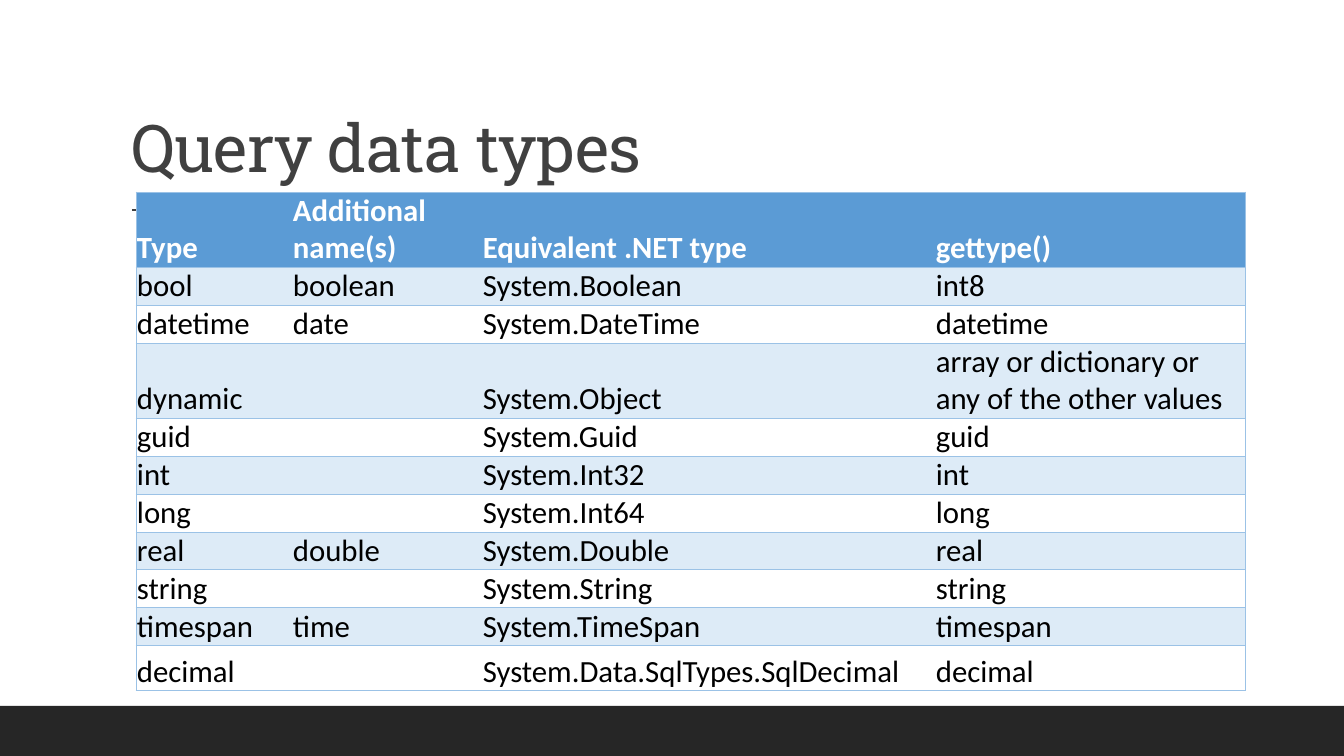
from lxml.etree import SubElement
from pptx import Presentation
from pptx.dml.color import RGBColor
from pptx.enum.shapes import MSO_CONNECTOR, MSO_SHAPE
from pptx.enum.text import MSO_ANCHOR, MSO_AUTO_SIZE, PP_ALIGN
from pptx.oxml import parse_xml
from pptx.oxml.ns import nsdecls, qn
from pptx.util import Pt

EMU_PER_PX = 914400 / 100.8
COLORS = {
    "ink": "404040", "footer": "262626", "header": "5B9BD5", "band": "DDEBF7",
    "border": "9BC2E6", "white": "FFFFFF", "black": "000000",
}
COLUMN_WIDTHS = [156, 190, 453, 310]
LINE_HEIGHT = 38
TWO_LINE_HEIGHT = 75
LAST_ROW_HEIGHT = 45
TWO_LINE_ROWS = ("Type", "dynamic")
DATA_TYPES = [
    ("Type", "Additional name(s)", "Equivalent .NET type", "gettype()"),
    ("bool", "boolean", "System.Boolean", "int8"),
    ("datetime", "date", "System.DateTime", "datetime"),
    ("dynamic", "", "System.Object", "array or dictionary or any of the other values"),
    ("guid", "", "System.Guid", "guid"),
    ("int", "", "System.Int32", "int"),
    ("long", "", "System.Int64", "long"),
    ("real", "double", "System.Double", "real"),
    ("string", "", "System.String", "string"),
    ("timespan", "time", "System.TimeSpan", "timespan"),
    ("decimal", "", "System.Data.SqlTypes.SqlDecimal", "decimal"),
]


def px(length):
    return round(length * EMU_PER_PX)


def rgb(name):
    return RGBColor.from_string(COLORS[name])


def apply(target, values):
    for name, value in values.items():
        setattr(target, name, value)


class SlideBuilder:
    title_font = {"name": "Roboto Slab", "size": Pt(47), "bold": False}
    cell_font = {"name": "Calibri", "size": Pt(22)}
    cell_format = {
        "margin_left": px(1), "margin_right": px(1), "margin_top": 0,
        "margin_bottom": 0, "vertical_anchor": MSO_ANCHOR.BOTTOM,
    }

    def __init__(self, slide):
        self.slide = slide

    def bar(self, left, top, width, height, color):
        bar = self.slide.shapes.add_shape(
            MSO_SHAPE.RECTANGLE, px(left), px(top), px(width), px(height))
        bar.shadow.inherit = False
        bar.fill.solid()
        bar.fill.fore_color.rgb = rgb(color)
        bar.line.fill.background()

    def rule(self, left, right, y, color):
        rule = self.slide.shapes.add_connector(
            MSO_CONNECTOR.STRAIGHT, px(left), px(y), px(right), px(y))
        rule.line.color.rgb = rgb(color)
        rule.line.width = Pt(1)
        SubElement(rule._element.spPr, qn("a:effectLst"))

    def title(self, text, left, top, width, height):
        title = self.slide.shapes.title
        apply(title, {"left": px(left), "top": px(top),
                      "width": px(width), "height": px(height)})
        apply(title.text_frame, {"text": text, "word_wrap": True,
                                 "auto_size": MSO_AUTO_SIZE.NONE,
                                 "vertical_anchor": MSO_ANCHOR.BOTTOM})
        heading = title.text_frame.paragraphs[0]
        apply(heading, {"alignment": PP_ALIGN.LEFT, "line_spacing": 0.9})
        wording = heading.runs[0]
        apply(wording.font, self.title_font)
        wording.font.color.rgb = rgb("ink")
        wording.font._element.set("spc", "-50")

    def table(self, left, top, widths, heights, rows):
        table = self.slide.shapes.add_table(
            len(rows), len(widths), px(left), px(top),
            px(sum(widths)), px(sum(heights))).table
        for column, width in zip(table.columns, widths):
            column.width = px(width)
        for row, height in zip(table.rows, heights):
            row.height = px(height)
        last = len(widths) - 1
        for r, texts in enumerate(rows):
            fill = "header" if r == 0 else "band" if r % 2 else None
            for c, text in enumerate(texts):
                cell = table.cell(r, c)
                self.cell(cell, text, fill, r == 0)
                self.borders(cell, {"lnL": c == 0, "lnR": c == last,
                                    "lnT": True, "lnB": True})

    def cell(self, cell, text, fill, is_header):
        apply(cell, self.cell_format)
        if fill:
            cell.fill.solid()
            cell.fill.fore_color.rgb = rgb(fill)
        else:
            cell.fill.background()
        if text:
            wording = cell.text_frame.paragraphs[0].add_run()
            wording.text = text
            apply(wording.font, self.cell_font | {"bold": is_header})
            wording.font.color.rgb = rgb("white" if is_header else "black")

    def borders(self, cell, sides):
        """Draw the sides marked True and clear the others."""
        properties = cell._tc.get_or_add_tcPr()
        drawn = f'<a:solidFill><a:srgbClr val="{COLORS["border"]}"/></a:solidFill>'
        for position, (side, visible) in enumerate(sides.items()):
            paint = drawn if visible else "<a:noFill/>"
            properties.insert(position, parse_xml(
                f'<a:{side} {nsdecls("a")} w="{Pt(0.5)}">{paint}</a:{side}>'))


def main():
    deck = Presentation()
    deck.slide_width, deck.slide_height = px(1344), px(756)
    builder = SlideBuilder(deck.slides.add_slide(deck.slide_layouts[5]))
    builder.bar(0, 706, 1344, 50, "footer")
    builder.rule(132, 1231, 210, "ink")
    builder.title("Query data types", 121, 32, 1109, 160)
    heights = [TWO_LINE_HEIGHT if row[0] in TWO_LINE_ROWS else LINE_HEIGHT
               for row in DATA_TYPES]
    heights[-1] = LAST_ROW_HEIGHT
    builder.table(136, 192, COLUMN_WIDTHS, heights, DATA_TYPES)
    deck.save("out.pptx")


if __name__ == "__main__":
    main()
